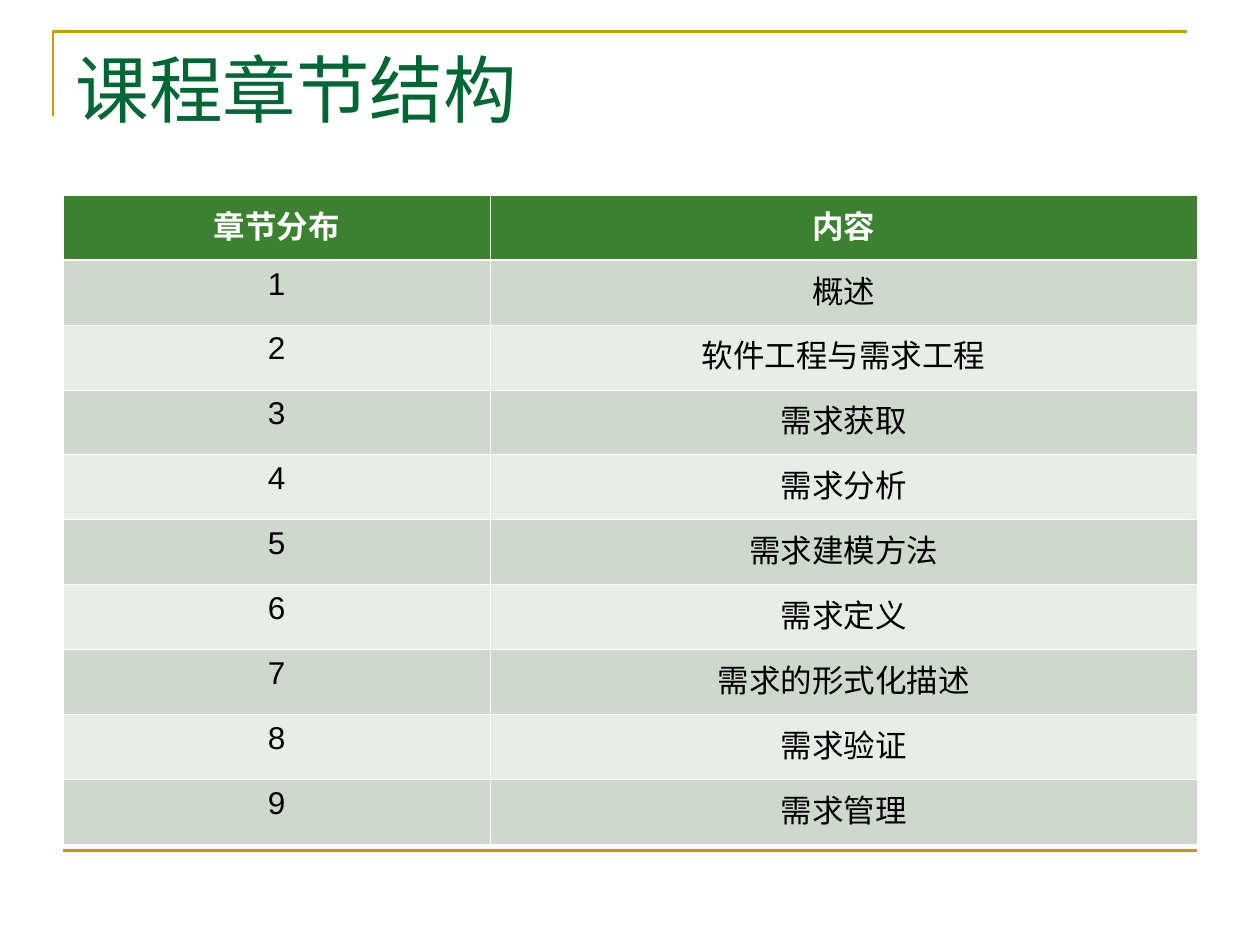
import pptx
import pptx.util
import pptx.dml.color
import pptx.enum.shapes
import pptx.enum.text
import pptx.oxml
import pptx.oxml.ns
from pptx.util import Inches

COLORS = {
    "title": "006633",
    "rule": "CC9900",
    "header": "3B812F",
    "odd": "CED8CD",
    "even": "E8EDE8",
    "white": "FFFFFF",
    "text": "000000",
}
HEADER = ("章节分布", "内容")
CHAPTERS = [
    "概述", "软件工程与需求工程", "需求获取", "需求分析", "需求建模方法",
    "需求定义", "需求的形式化描述", "需求验证", "需求管理",
]


def rgb(name):
    return pptx.dml.color.RGBColor.from_string(COLORS[name])


class Deck:
    title_font = "Times New Roman"
    body_font = "Arial"
    rule_width = 1.5
    thin = 0.45
    thick = 1.47

    def __init__(self, prs):
        self.s = prs.slides.add_slide(prs.slide_layouts[5])

    def style(self, p, font, size, color, align, bold=False):
        p.alignment = align
        p.font.name = font
        p.font.size = pptx.util.Pt(size)
        p.font.bold = bold
        p.font.color.rgb = rgb(color)

    def outline(self, sp):
        sp.line.color.rgb = rgb("rule")
        sp.line.width = pptx.util.Pt(self.rule_width)

    def title(self, text, x, y, w, h):
        sp = self.s.shapes.title
        sp.left, sp.top, sp.width, sp.height = map(Inches, (x, y, w, h))
        tf = sp.text_frame
        tf.text = text
        tf.auto_size = pptx.enum.text.MSO_AUTO_SIZE.NONE
        tf.vertical_anchor = pptx.enum.text.MSO_ANCHOR.TOP
        self.style(tf.paragraphs[0], self.title_font, 42, "title",
                   pptx.enum.text.PP_ALIGN.LEFT)

    def bracket(self, points):
        start, *rest = [(Inches(x), Inches(y)) for x, y in points]
        builder = self.s.shapes.build_freeform(*start)
        builder.add_line_segments(rest, close=False)
        sp = builder.convert_to_shape()
        sp.shadow.inherit = False
        sp.fill.background()
        self.outline(sp)

    def rule(self, x1, y1, x2, y2):
        sp = self.s.shapes.add_connector(
            pptx.enum.shapes.MSO_CONNECTOR.STRAIGHT,
            *map(Inches, (x1, y1, x2, y2)))
        sp._element.spPr.append(pptx.oxml.parse_xml(
            f"<a:effectLst {pptx.oxml.ns.nsdecls('a')}/>"))
        self.outline(sp)

    def borders(self, cell, row):
        widths = {
            "L": self.thin,
            "R": self.thin,
            "T": self.thick if row == 1 else self.thin,
            "B": self.thick if row == 0 else self.thin,
        }
        tcPr = cell._tc.get_or_add_tcPr()
        for side, width in widths.items():
            tcPr.append(pptx.oxml.parse_xml(
                f"<a:ln{side} {pptx.oxml.ns.nsdecls('a')} w='{pptx.util.Pt(width)}'>"
                f"<a:solidFill><a:srgbClr val='{COLORS['white']}'/></a:solidFill>"
                f"</a:ln{side}>"))

    def table(self, rows, x, y, widths, height):
        table = self.s.shapes.add_table(
            len(rows), len(widths), Inches(x), Inches(y),
            Inches(sum(widths)), Inches(height)).table
        for column, width in zip(table.columns, widths):
            column.width = Inches(width)
        for i, row in enumerate(rows):
            header = i == 0
            fill = "header" if header else "odd" if i % 2 else "even"
            for j, text in enumerate(row):
                cell = table.cell(i, j)
                cell.text = text
                self.borders(cell, i)
                cell.fill.solid()
                cell.fill.fore_color.rgb = rgb(fill)
                self.style(cell.text_frame.paragraphs[0], self.body_font, 18,
                           "white" if header else "text",
                           pptx.enum.text.PP_ALIGN.CENTER, header)


def main():
    prs = pptx.Presentation()
    prs.slide_width, prs.slide_height = Inches(10), Inches(7.5)
    deck = Deck(prs)
    deck.bracket([(0.42, 0.92), (0.42, 0.25), (9.42, 0.25)])
    deck.rule(0.5, 6.75, 9.5, 6.75)
    deck.title("课程章节结构", 0.5, 0.3, 9, 1.25)
    rows = [HEADER] + [(str(n), name) for n, name in enumerate(CHAPTERS, 1)]
    deck.table(rows, 0.5, 1.55, (3.39, 5.61), 5.15)
    prs.save("out.pptx")


if __name__ == "__main__":
    main()
